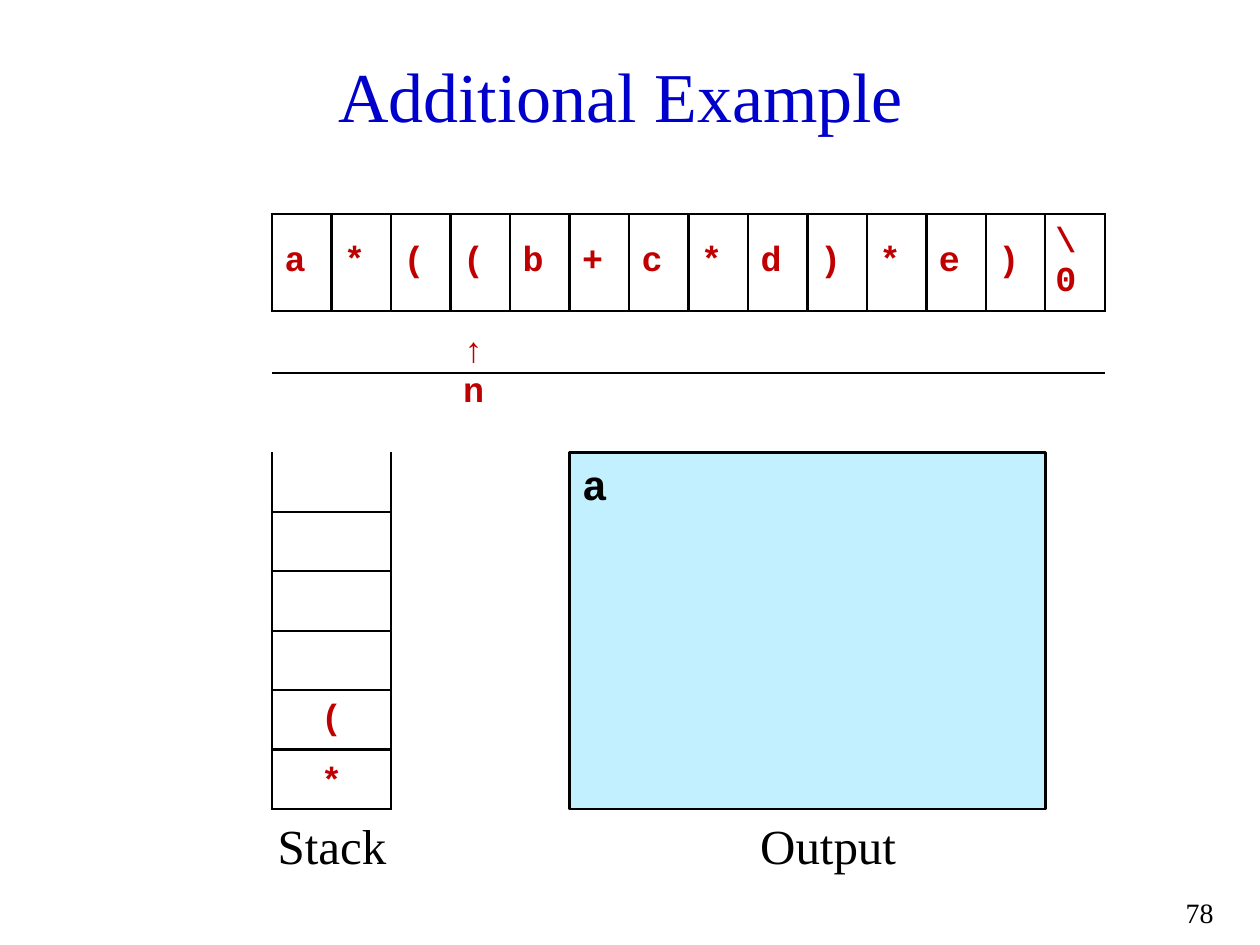
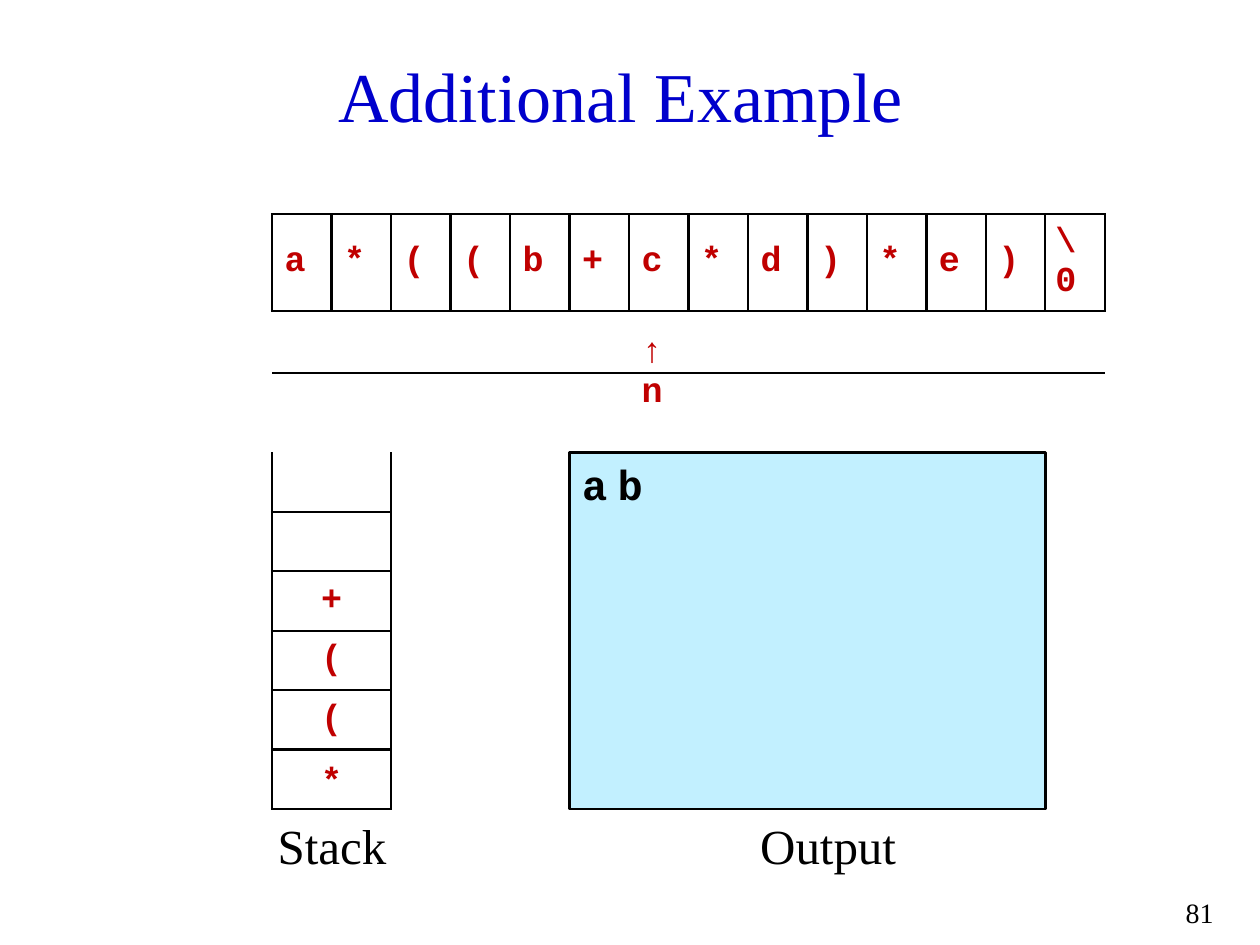
import dataclasses

import lxml.etree
import pptx
import pptx.dml.color
import pptx.enum.shapes
import pptx.enum.text
import pptx.oxml.ns
import pptx.util

ALIGN = pptx.enum.text.PP_ALIGN
ANCHOR = pptx.enum.text.MSO_ANCHOR
PLAIN_TABLE_STYLE = "{2D5ABB26-0587-4C30-8999-92F81FD0307C}"

EXPRESSION = ["a", "*", "(", "(", "b", "+", "c", "*", "d", ")", "*", "e", ")", r"\0"]
STACK_DEPTH = 6


@dataclasses.dataclass(frozen=True)
class TextStyle:
    size: int
    color: str
    font: str = "Times New Roman"
    bold: bool = False
    spacing: int = 0


@dataclasses.dataclass(frozen=True)
class Theme:
    title: TextStyle = TextStyle(40, "0000CC")
    label: TextStyle = TextStyle(28, "000000")
    number: TextStyle = TextStyle(16, "000000")
    symbol: TextStyle = TextStyle(20, "C00000", "Courier New", True)
    output: TextStyle = TextStyle(24, "000000", "Courier New", True, 6)
    output_fill: str = "C2F0FF"
    line: str = "000000"
    line_width: float = 1.5


@dataclasses.dataclass(frozen=True)
class Step:
    """State of the conversion; the stack is listed from bottom to top."""
    number: int
    position: int
    stack: str
    output: str


STEPS = [Step(78, 3, "*(", "a"), Step(81, 6, "*((+", "ab")]


def rgb(color):
    return pptx.dml.color.RGBColor.from_string(color)


class Deck:
    cell = pptx.util.Pt(34)
    left = pptx.util.Inches(2.16)
    top = pptx.util.Inches(1.7)

    def __init__(self, theme):
        self.theme = theme
        self.presentation = pptx.Presentation()
        self.presentation.slide_width = pptx.util.Inches(10)
        self.presentation.slide_height = pptx.util.Inches(7.5)
        self.slide = None

    def new_slide(self):
        self.slide = self.presentation.slides.add_slide(self.presentation.slide_layouts[6])

    def grid(self, column, row, columns, rows):
        """Box on the grid of square cells that starts at the tape."""
        return (self.left + int(column * self.cell), self.top + int(row * self.cell),
                int(columns * self.cell), int(rows * self.cell))

    def share(self, left, top, width, height):
        """Box given as percentages of the slide's size."""
        across, down = self.presentation.slide_width, self.presentation.slide_height
        return tuple(int(part * size / 100) for part, size in
                     zip((left, top, width, height), (across, down, across, down)))

    def set_text(self, text_frame, text, style, align):
        text_frame.text = text
        paragraph = text_frame.paragraphs[0]
        paragraph.alignment = align
        for run in paragraph.runs:
            run.font.size = pptx.util.Pt(style.size)
            run.font.name = style.font
            run.font.bold = style.bold
            run.font.color.rgb = rgb(style.color)
            if style.spacing:
                run.font._element.set("spc", str(style.spacing * 100))

    def text(self, box, text, style, align=ALIGN.CENTER, anchor=ANCHOR.TOP):
        text_frame = self.slide.shapes.add_textbox(*box).text_frame
        text_frame.word_wrap = True
        text_frame.vertical_anchor = anchor
        self.set_text(text_frame, text, style, align)

    def panel(self, box, text):
        shape = self.slide.shapes.add_shape(pptx.enum.shapes.MSO_SHAPE.RECTANGLE, *box)
        shape.shadow.inherit = False
        shape.fill.solid()
        shape.fill.fore_color.rgb = rgb(self.theme.output_fill)
        shape.line.color.rgb = rgb(self.theme.line)
        shape.line.width = pptx.util.Pt(self.theme.line_width)
        shape.text_frame.word_wrap = True
        shape.text_frame.vertical_anchor = ANCHOR.TOP
        self.set_text(shape.text_frame, text, self.theme.output, ALIGN.LEFT)

    def table(self, box, columns, rows):
        table = self.slide.shapes.add_table(rows, columns, *box).table
        table.first_row = table.horz_banding = False
        style_name = table._tbl.tblPr.find(pptx.oxml.ns.qn("a:tableStyleId"))
        style_name.text = PLAIN_TABLE_STYLE
        for column in table.columns:
            column.width = box[2] // columns
        for row in table.rows:
            row.height = box[3] // rows
        for cell in table.iter_cells():
            cell.fill.background()
        return table

    def borders(self, cell, sides):
        """Draw the sides named by letters out of LRTB, in that order."""
        properties = cell._tc.get_or_add_tcPr()
        for index, side in enumerate(sides):
            line = lxml.etree.Element(pptx.oxml.ns.qn("a:ln" + side))
            line.set("w", str(pptx.util.Pt(self.theme.line_width)))
            fill = lxml.etree.SubElement(line, pptx.oxml.ns.qn("a:solidFill"))
            lxml.etree.SubElement(fill, pptx.oxml.ns.qn("a:srgbClr"), val=self.theme.line)
            properties.insert(index, line)

    def symbol(self, cell, text, align=ALIGN.LEFT, anchor=ANCHOR.MIDDLE):
        cell.vertical_anchor = anchor
        self.set_text(cell.text_frame, text, self.theme.symbol, align)

    def tape(self, position):
        """Input expression with the pointer n below the given position."""
        count = len(EXPRESSION)
        table = self.table(self.grid(0, 0, count, 3), count, 3)
        for column, text in enumerate(EXPRESSION):
            self.borders(table.cell(0, column), "LRTB")
            self.borders(table.cell(1, column), "T")
            self.symbol(table.cell(0, column), text)
        end = table.cell(0, count - 1)
        end.margin_left = end.margin_right = pptx.util.Inches(0.08)
        arrow, name = table.cell(1, position), table.cell(2, position)
        arrow.margin_top = pptx.util.Inches(0.16)
        arrow.margin_bottom = name.margin_top = 0
        self.symbol(arrow, "↑", anchor=ANCHOR.BOTTOM)
        self.symbol(name, "n", anchor=ANCHOR.TOP)

    def stack(self, symbols):
        table = self.table(self.grid(0, 4, 2, STACK_DEPTH), 1, STACK_DEPTH)
        for row in range(STACK_DEPTH):
            self.borders(table.cell(row, 0), "LRTB" if row else "LRB")
        for level, text in enumerate(symbols):
            anchor = ANCHOR.MIDDLE if level else ANCHOR.BOTTOM
            self.symbol(table.cell(STACK_DEPTH - 1 - level, 0), text, ALIGN.CENTER, anchor)

    def step(self, step):
        theme = self.theme
        self.new_slide()
        self.text(self.share(2.7, 3.73, 94.5, 12.53), "Additional Example ", theme.title,
                  anchor=ANCHOR.MIDDLE)
        self.text(self.share(91, 94.13, 6.3, 4.27), str(step.number), theme.number, ALIGN.RIGHT)
        self.stack(step.stack)
        self.panel(self.grid(5, 4, 8, STACK_DEPTH), step.output)
        self.text(self.grid(7.68, 10, 3.33, 1.33), "Output", theme.label)
        self.text(self.grid(-0.33, 10, 2.67, 1.33), "Stack", theme.label)
        self.tape(step.position)


def main():
    deck = Deck(Theme())
    for step in STEPS:
        deck.step(step)
    deck.presentation.save("out.pptx")


if __name__ == "__main__":
    main()
